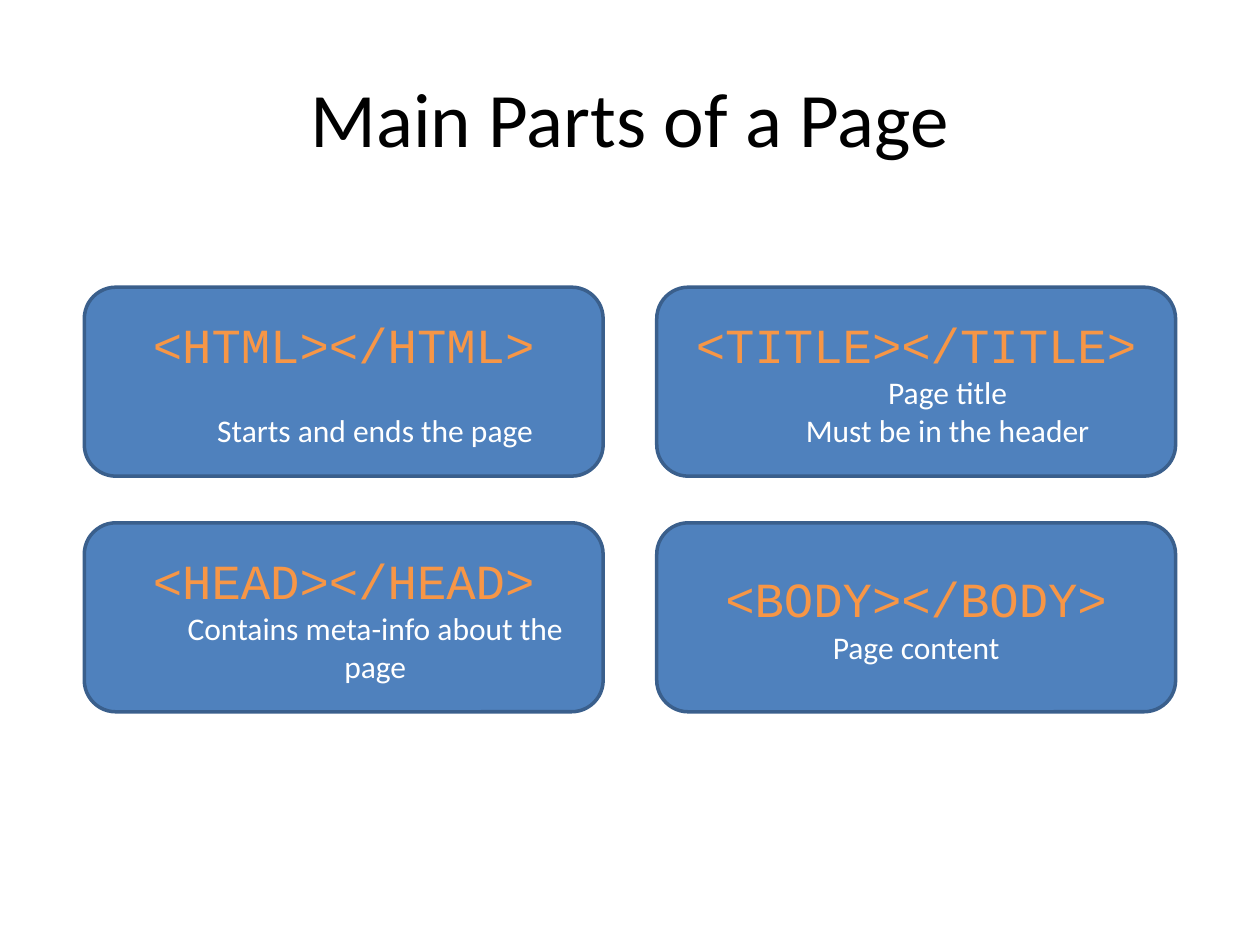
import pptx
import pptx.dml.color
import pptx.enum.shapes
import pptx.enum.text
import pptx.util
from pptx.util import Cm

COLORS = {
    "title": "000000",
    "card": "4F81BD",
    "border": "3A5F8C",
    "tag": "F79646",
    "description": "FFFFFF",
}

CARDS = [
    [
        ("<HTML></HTML>", ["Starts and ends the page"], Cm(1.27), pptx.util.Pt(22)),
        ("<TITLE></TITLE>", ["Page title", "Must be in the header"], Cm(1.27), 0),
    ],
    [
        ("<HEAD></HEAD>", ["Contains meta-info about the page"], Cm(1.27), 0),
        ("<BODY></BODY>", ["Page content"], 0, 0),
    ],
]


def rgb(name):
    return pptx.dml.color.RGBColor.from_string(COLORS[name])


def write_paragraph(paragraph, text, font_name, size, color):
    paragraph.text = text
    paragraph.alignment = pptx.enum.text.PP_ALIGN.CENTER
    paragraph.font.name = font_name
    paragraph.font.size = pptx.util.Pt(size)
    paragraph.font.color.rgb = rgb(color)


def add_title(slide, left, top, width, height, text):
    text_frame = slide.shapes.add_textbox(left, top, width, height).text_frame
    text_frame.word_wrap = True
    text_frame.vertical_anchor = pptx.enum.text.MSO_ANCHOR.MIDDLE
    write_paragraph(text_frame.paragraphs[0], text, "Calibri", 44, "title")


def add_card(slide, left, top, width, height, card):
    tag, descriptions, indent, gap = card
    shape = slide.shapes.add_shape(
        pptx.enum.shapes.MSO_SHAPE.ROUNDED_RECTANGLE, left, top, width, height
    )
    shape.shadow.inherit = False
    shape.fill.solid()
    shape.fill.fore_color.rgb = rgb("card")
    shape.line.color.rgb = rgb("border")
    shape.line.width = pptx.util.Pt(2)

    text_frame = shape.text_frame
    text_frame.word_wrap = True
    text_frame.vertical_anchor = pptx.enum.text.MSO_ANCHOR.MIDDLE
    write_paragraph(text_frame.paragraphs[0], tag, "Courier New", 28, "tag")
    for description in descriptions:
        paragraph = text_frame.add_paragraph()
        write_paragraph(paragraph, description, "Calibri", 18, "description")
        paragraph.space_before = gap
        if indent:
            paragraph.level = 1
            paragraph._p.get_or_add_pPr().set("marL", str(indent))


def add_card_grid(slide, left, top, width, height, rows):
    column_gap, row_gap = Cm(1.08), Cm(0.94)
    card_width = (width - column_gap) // 2
    card_height = (height - row_gap) // 2
    for row, cards in enumerate(rows):
        for column, card in enumerate(cards):
            add_card(
                slide,
                left + column * (card_width + column_gap),
                top + row * (card_height + row_gap),
                card_width,
                card_height,
                card,
            )


def main():
    presentation = pptx.Presentation()
    presentation.slide_width = Cm(25.4)
    presentation.slide_height = Cm(19.05)
    slide = presentation.slides.add_slide(presentation.slide_layouts[6])
    add_title(slide, Cm(1.27), Cm(0.76), Cm(22.86), Cm(3.18), "Main Parts of a Page")
    add_card_grid(slide, Cm(1.7), Cm(5.79), Cm(22), Cm(8.56), CARDS)
    presentation.save("out.pptx")


if __name__ == "__main__":
    main()
